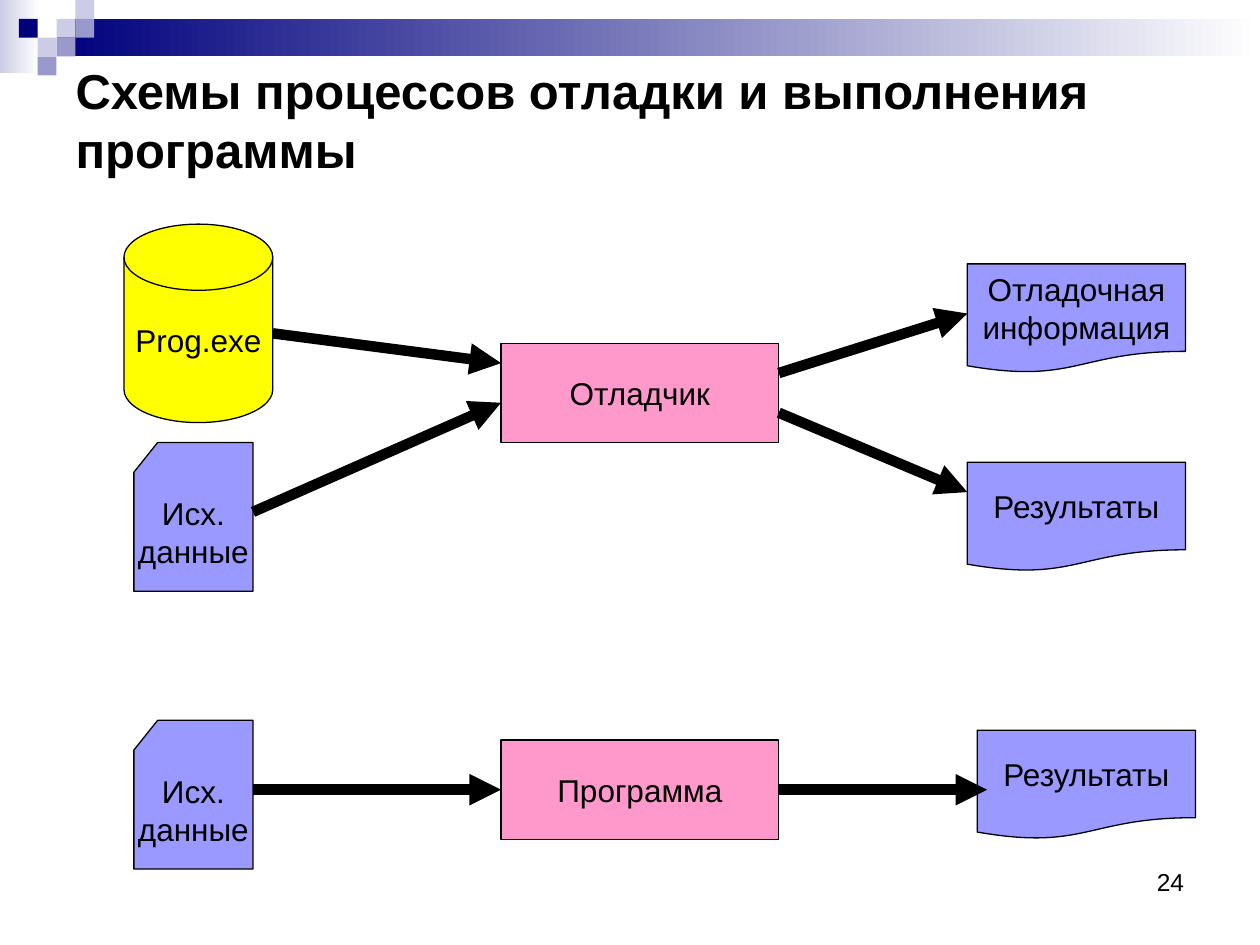
"""Build the slide with the debugging and execution flow diagrams."""
from dataclasses import dataclass
from typing import Optional

from lxml import etree
from pptx import Presentation
from pptx import util as u
from pptx.dml.color import RGBColor
from pptx.enum import shapes, text
from pptx.oxml.ns import qn

SHAPE = shapes.MSO_SHAPE


@dataclass(frozen=True)
class Theme:
    font: str = "Arial"
    ink: str = "000000"
    paper: str = "FFFFFF"
    navy: str = "00007D"
    mid: str = "9999CC"
    pale: str = "CCCCE6"
    storage: str = "FFFF00"
    data: str = "9999FF"
    process: str = "FF99CC"
    title_size: int = 28
    label_size: int = 18
    number_size: int = 14
    outline: float = 0.75
    arrow: float = 6


@dataclass(frozen=True)
class Kind:
    preset: SHAPE
    color: str
    width: float
    height: float


@dataclass(frozen=True)
class Node:
    kind: Kind
    left: float
    top: float
    lines: tuple[str, ...]


@dataclass(frozen=True)
class Arrow:
    start: tuple[float, float]
    end: tuple[float, float]
    source: Optional[Node] = None
    target: Optional[Node] = None


THEME = Theme()
CELL = 0.38

DISK = Kind(SHAPE.FLOWCHART_MAGNETIC_DISK, THEME.storage, 3, 4)
CARD = Kind(SHAPE.FLOWCHART_CARD, THEME.data, 2.4, 3)
PROCESS = Kind(SHAPE.FLOWCHART_PROCESS, THEME.process, 5.6, 2)
DOCUMENT = Kind(SHAPE.FLOWCHART_DOCUMENT, THEME.data, 4.4, 2.2)

INPUT_LINES = ("Исх.", "данные")
PROGRAM = Node(PROCESS, 10.1, 14.92, ("Программа",))
NODES = (
    Node(DISK, 2.5, 4.52, ("Prog.exe",)),
    Node(CARD, 2.7, 8.92, INPUT_LINES),
    Node(PROCESS, 10.1, 6.92, ("Отладчик",)),
    Node(DOCUMENT, 19.5, 5.32, ("Отладочная", "информация")),
    Node(DOCUMENT, 19.5, 9.32, ("Результаты",)),
    PROGRAM,
    Node(CARD, 2.7, 14.52, INPUT_LINES),
    Node(DOCUMENT, 19.7, 14.72, ("Результаты",)),
)
ARROWS = (
    Arrow((5.5, 6.72), (10.1, 7.32)),
    Arrow((5.1, 10.32), (10.1, 8.12)),
    Arrow((15.7, 7.52), (19.5, 6.32)),
    Arrow((15.7, 8.32), (19.5, 9.92)),
    Arrow((15.7, 15.92), (19.9, 15.92), source=PROGRAM),
    Arrow((5.1, 15.92), (10.1, 15.92), target=PROGRAM),
)
SQUARES = (
    (3, 1, THEME.pale),
    (4, 0, THEME.pale),
    (4, 1, THEME.mid),
    (2, 2, THEME.pale),
    (1, 1, THEME.navy),
    (3, 2, THEME.mid),
    (2, 3, THEME.mid),
)


def rgb(value: str) -> RGBColor:
    """Turn a hex string into a colour."""
    return RGBColor.from_string(value)


def add_run(paragraph, words: str, size: int, bold: bool = False) -> None:
    """Append one formatted run to a paragraph."""
    run = paragraph.add_run()
    run.text = words
    run.font.name = THEME.font
    run.font.size = u.Pt(size)
    run.font.bold = bold
    run.font.color.rgb = rgb(THEME.ink)


def add_block(slide, preset: SHAPE, left: float, top: float, width: float, height: float):
    """Add a preset shape without shadow or outline."""
    shape = slide.shapes.add_shape(preset, u.Cm(left), u.Cm(top), u.Cm(width), u.Cm(height))
    shape.shadow.inherit = False
    shape.line.fill.background()
    return shape


def add_band(slide, left: float, top: float, width: float, height: float, color: str) -> None:
    """Add a rectangle fading to the paper colour from left to right."""
    fill = add_block(slide, SHAPE.RECTANGLE, left, top, width, height).fill
    fill.gradient()
    fill.gradient_angle = 0
    for stop, value, position in zip(fill.gradient_stops, (color, THEME.paper), (0, 1)):
        stop.color.rgb = rgb(value)
        stop.position = position


def add_decoration(slide) -> None:
    """Draw the header band and its mosaic of squares."""
    add_band(slide, 0, 0, 0.79, 1.47, THEME.pale)
    add_band(slide, 3 * CELL, CELL, 25.4 - 3 * CELL, 2 * CELL, THEME.navy)
    for column, row, color in SQUARES:
        square = add_block(slide, SHAPE.RECTANGLE, column * CELL, row * CELL, CELL, CELL)
        square.fill.solid()
        square.fill.fore_color.rgb = rgb(color)


def add_title(slide) -> None:
    """Place and fill the title placeholder."""
    title = slide.shapes.title
    title.left, title.top, title.width, title.height = map(u.Cm, (1.27, 1.27, 22.86, 2.26))
    frame = title.text_frame
    frame.auto_size = text.MSO_AUTO_SIZE.NONE
    frame.vertical_anchor = text.MSO_ANCHOR.MIDDLE
    paragraph = frame.paragraphs[0]
    paragraph.alignment = text.PP_ALIGN.LEFT
    add_run(paragraph, "Схемы процессов отладки и выполнения", THEME.title_size, bold=True)
    paragraph.add_line_break()
    add_run(paragraph, "программы", THEME.title_size, bold=True)


def add_number(slide) -> None:
    """Add the page number."""
    box = slide.shapes.add_textbox(u.Cm(18.2), u.Cm(17.35), u.Cm(5.92), u.Cm(1.32))
    box.text_frame.word_wrap = True
    paragraph = box.text_frame.paragraphs[0]
    paragraph.alignment = text.PP_ALIGN.RIGHT
    add_run(paragraph, "24", THEME.number_size)


def add_node(slide, node: Node):
    """Draw one labelled diagram node."""
    kind = node.kind
    shape = add_block(slide, kind.preset, node.left, node.top, kind.width, kind.height)
    shape.fill.solid()
    shape.fill.fore_color.rgb = rgb(kind.color)
    shape.line.color.rgb = rgb(THEME.ink)
    shape.line.width = u.Pt(THEME.outline)
    frame = shape.text_frame
    frame.word_wrap = False
    frame.vertical_anchor = text.MSO_ANCHOR.MIDDLE
    for index, words in enumerate(node.lines):
        paragraph = frame.add_paragraph() if index else frame.paragraphs[0]
        paragraph.alignment = text.PP_ALIGN.CENTER
        add_run(paragraph, words, THEME.label_size)
    return shape


def add_arrow(slide, arrow: Arrow, drawn: dict) -> None:
    """Draw one arrow and join it to the nodes it names."""
    points = map(u.Cm, (*arrow.start, *arrow.end))
    connector = slide.shapes.add_connector(shapes.MSO_CONNECTOR.STRAIGHT, *points)
    if arrow.source:
        connector.begin_connect(drawn[arrow.source], 3)
    if arrow.target:
        connector.end_connect(drawn[arrow.target], 1)
    connector.line.color.rgb = rgb(THEME.ink)
    connector.line.width = u.Pt(THEME.arrow)
    etree.SubElement(connector.line._get_or_add_ln(), qn("a:tailEnd"), type="triangle")
    etree.SubElement(connector._element.spPr, qn("a:effectLst"))


def main() -> None:
    """Assemble and save the presentation."""
    presentation = Presentation()
    presentation.slide_width, presentation.slide_height = u.Cm(25.4), u.Cm(19.05)
    slide = presentation.slides.add_slide(presentation.slide_layouts[5])
    add_decoration(slide)
    add_number(slide)
    add_title(slide)
    drawn = {node: add_node(slide, node) for node in NODES}
    for arrow in ARROWS:
        add_arrow(slide, arrow, drawn)
    presentation.save("out.pptx")


if __name__ == "__main__":
    main()
